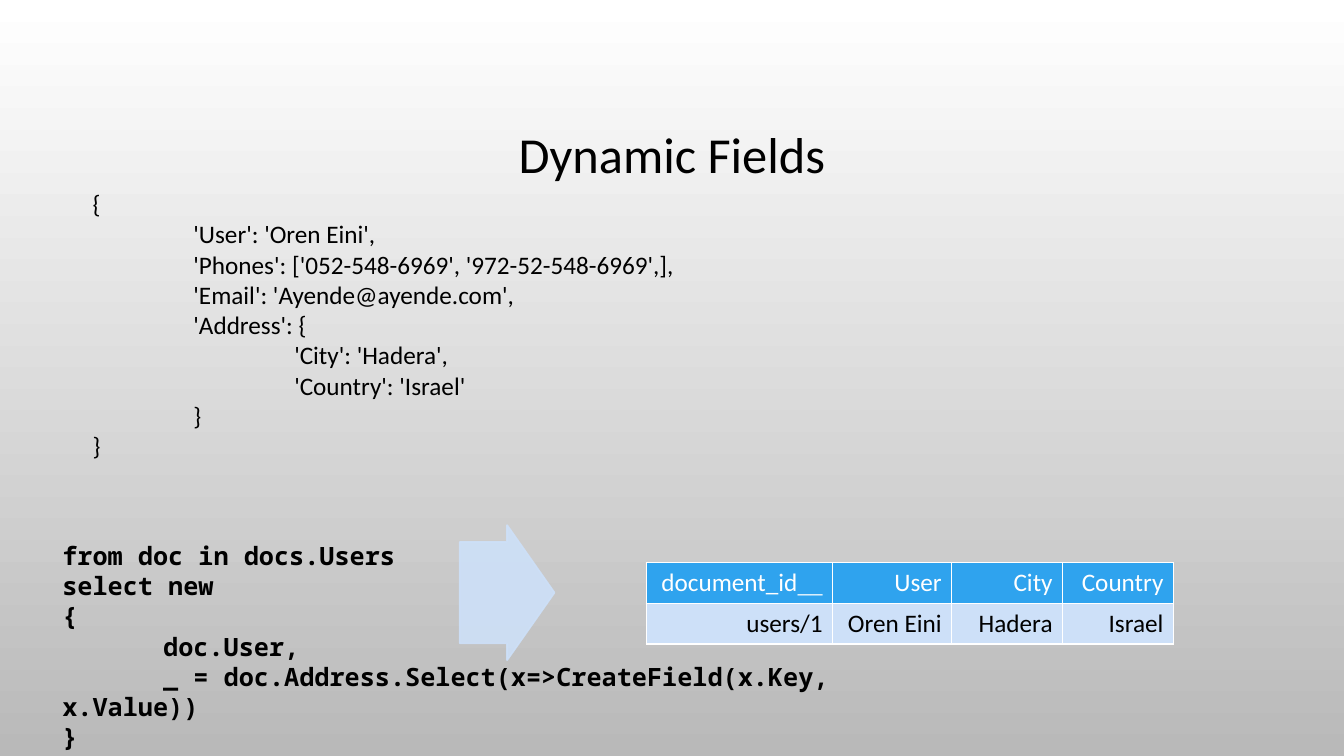
from dataclasses import dataclass

import pptx
import pptx.dml.color
import pptx.enum.shapes
import pptx.enum.text
import pptx.oxml
import pptx.oxml.ns
import pptx.util
from lxml import etree

Inches = pptx.util.Inches
Pt = pptx.util.Pt
ALIGN = pptx.enum.text.PP_ALIGN


@dataclass(frozen=True)
class Theme:
    """Colours, fonts and type sizes of the slide."""
    ink: str = "000000"
    white: str = "FFFFFF"
    shade: str = "B9B9B9"
    header: str = "2FA3EE"
    pale: str = "CDE0F8"
    body_font: str = "Calibri"
    code_font: str = "Noto Sans Mono"
    title_size: int = 36
    body_size: int = 18


def rgb(value):
    """Turn a hex string into a colour."""
    return pptx.dml.color.RGBColor.from_string(value)


def box(left, top, width, height):
    """Convert a place given in inches to lengths."""
    return [Inches(v) for v in (left, top, width, height)]


class SlideBuilder:
    """Holds the theme and the current slide."""

    def __init__(self, deck, theme):
        """Add a title-only slide with a vertical gradient."""
        self.theme = theme
        self.slide = deck.slides.add_slide(deck.slide_layouts[5])
        backdrop = self.slide.background.fill
        backdrop.gradient()
        backdrop.gradient_angle = 270
        for stop, color in zip(backdrop.gradient_stops, (theme.white, theme.shade)):
            stop.color.rgb = rgb(color)

    def style(self, paragraph, size, color, font, bold=False):
        """Set the font of a whole paragraph."""
        paragraph.font.size = Pt(size)
        paragraph.font.color.rgb = rgb(color)
        paragraph.font.name = font
        paragraph.font.bold = bold

    def rtl(self, paragraph, alignment):
        """Make a paragraph run right to left."""
        paragraph.alignment = alignment
        paragraph._p.get_or_add_pPr().set("rtl", "1")

    def tab_stops(self, paragraph, count):
        """Set left tab stops one inch apart."""
        stops = etree.SubElement(paragraph._p.get_or_add_pPr(), pptx.oxml.ns.qn("a:tabLst"))
        for inch in range(1, count + 1):
            etree.SubElement(stops, pptx.oxml.ns.qn("a:tab"), pos=str(Inches(inch)), algn="l")

    def title(self, text, place):
        """Place and format the title."""
        heading = self.slide.shapes.title
        heading.left, heading.top, heading.width, heading.height = box(*place)
        frame = heading.text_frame
        frame.text = text
        frame.vertical_anchor = pptx.enum.text.MSO_ANCHOR.MIDDLE
        paragraph = frame.paragraphs[0]
        paragraph.line_spacing = 0.9
        self.rtl(paragraph, ALIGN.CENTER)
        self.style(paragraph, self.theme.title_size, self.theme.ink, self.theme.body_font)

    def listing(self, lines, place, font, bold=False):
        """Add a text box with one paragraph per line of code."""
        frame = self.slide.shapes.add_textbox(*box(*place)).text_frame
        frame.word_wrap = True
        frame.auto_size = pptx.enum.text.MSO_AUTO_SIZE.SHAPE_TO_FIT_TEXT
        for index, line in enumerate(lines):
            paragraph = frame.paragraphs[0] if index == 0 else frame.add_paragraph()
            paragraph.text = line
            if "\t" in line:
                self.tab_stops(paragraph, line.count("\t"))
            self.style(paragraph, self.theme.body_size, self.theme.ink, font, bold)

    def border(self, cell, side):
        """Draw one thin white cell border."""
        line = etree.SubElement(cell._tc.get_or_add_tcPr(), pptx.oxml.ns.qn(f"a:ln{side}"),
                                w=str(Pt(1)))
        fill = etree.SubElement(line, pptx.oxml.ns.qn("a:solidFill"))
        etree.SubElement(fill, pptx.oxml.ns.qn("a:srgbClr"), val=self.theme.white)

    def table(self, rows, place, widths):
        """Add a right-to-left table whose first row is the header."""
        theme = self.theme
        grid = self.slide.shapes.add_table(len(rows), len(widths), *box(*place)).table
        for column, width in zip(grid.columns, widths):
            column.width = Inches(width)
        for r, values in enumerate(rows):
            fill, ink = (theme.header, theme.white) if r == 0 else (theme.pale, theme.ink)
            for c, value in enumerate(values):
                cell = grid.cell(r, c)
                for side in "LRTB":
                    self.border(cell, side)
                cell.fill.solid()
                cell.fill.fore_color.rgb = rgb(fill)
                cell.text = value
                paragraph = cell.text_frame.paragraphs[0]
                self.rtl(paragraph, ALIGN.RIGHT)
                self.style(paragraph, theme.body_size, ink, theme.body_font)

    def arrow(self, place, shaft, opacity):
        """Add a translucent block arrow pointing right."""
        arrow = self.slide.shapes.add_shape(
            pptx.enum.shapes.MSO_SHAPE.RIGHT_ARROW, *box(*place))
        arrow.shadow.inherit = False
        arrow.adjustments[0] = shaft
        arrow.line.width = Pt(1.25)
        arrow.fill.solid()
        for color in (arrow.fill.fore_color, arrow.line.color):
            color.rgb = rgb(self.theme.pale)
        for tint in arrow._element.spPr.iter(pptx.oxml.ns.qn("a:srgbClr")):
            etree.SubElement(tint, pptx.oxml.ns.qn("a:alpha"), val=str(opacity * 1000))


DOCUMENT = [
    "{",
    "\t'User': 'Oren Eini',",
    "\t'Phones': ['052-548-6969', '972-52-548-6969',],",
    "\t'Email': 'Ayende@ayende.com',",
    "\t'Address': {",
    "\t\t'City': 'Hadera',",
    "\t\t'Country': 'Israel'",
    "\t}",
    "}",
]
INDEX_QUERY = [
    "from doc in docs.Users",
    "select new",
    "{\v\tdoc.User,",
    "\t_ = doc.Address.Select(x=>CreateField(x.Key, x.Value))",
    "}",
]
INDEX_ENTRIES = [
    ["__document_id", "User", "City", "Country"],
    ["users/1", "Oren Eini", "Hadera", "Israel"],
]


def main():
    """Build and save the slide."""
    deck = pptx.Presentation()
    deck.slide_width, deck.slide_height = Inches(13.33), Inches(7.5)
    theme = Theme()
    page = SlideBuilder(deck, theme)
    page.title("Dynamic Fields", (1, 0.68, 11.33, 1.75))
    page.listing(DOCUMENT, (0.82, 1.82, 7.48, 2.83), theme.body_font)
    page.listing(INDEX_QUERY, (0.52, 5.31, 8.67, 1.92), theme.code_font, bold=True)
    page.table(INDEX_ENTRIES, (6.41, 5.58, 5.23, 0.81), (1.85, 1.18, 1.1, 1.1))
    page.arrow((4.56, 5.21, 0.94, 1.34), shaft=0.75, opacity=90)
    deck.save("out.pptx")


main()
